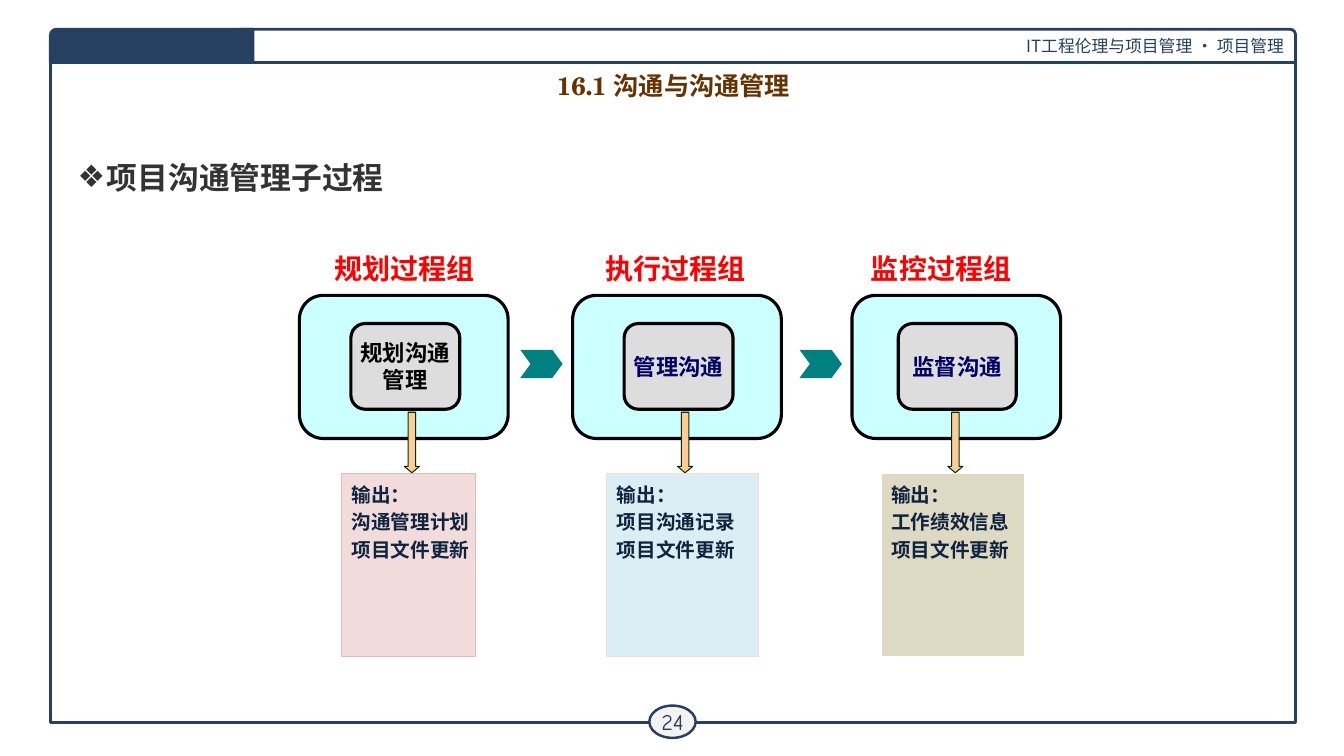
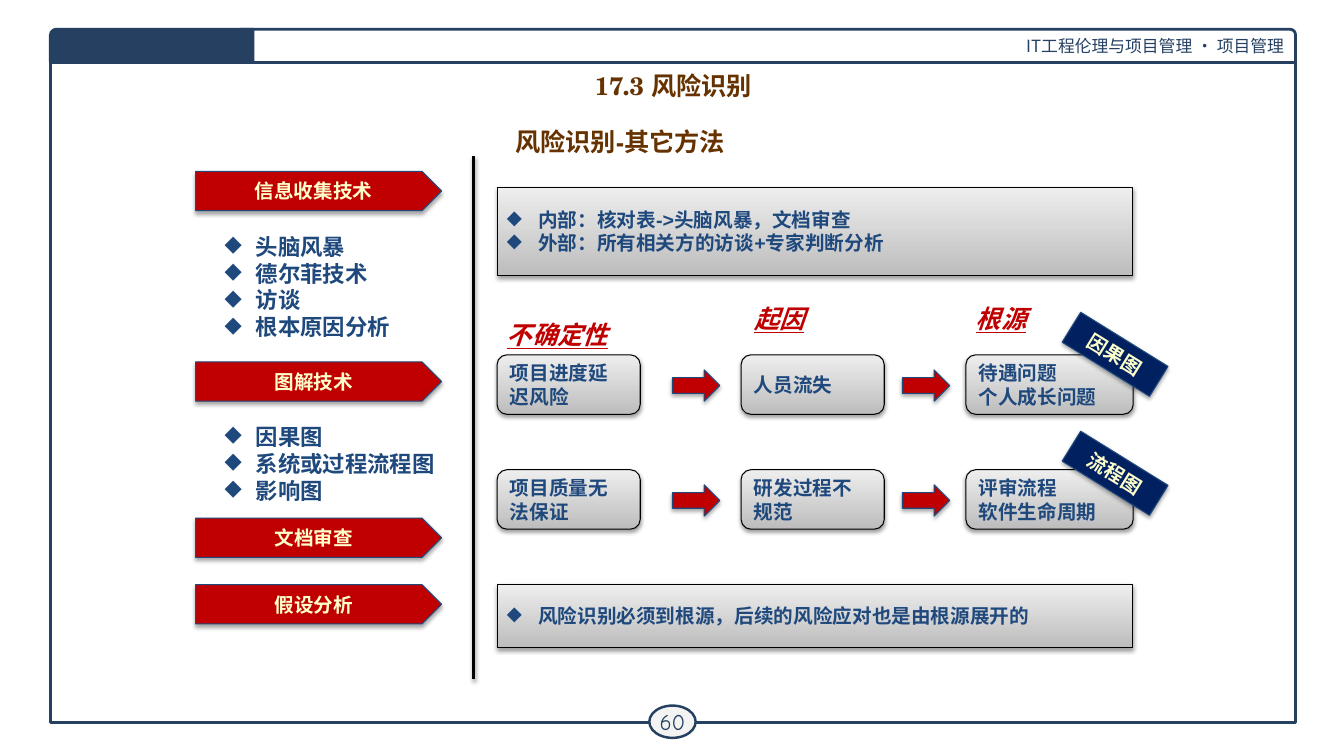
from lxml.etree import SubElement as Sub
from pptx import Presentation
from pptx.dml.color import RGBColor
from pptx.enum.shapes import MSO_CONNECTOR as Conn, MSO_SHAPE as Geo
from pptx.enum.text import MSO_ANCHOR as Anchor, MSO_AUTO_SIZE as Fit, PP_ALIGN as Align
from pptx.oxml.ns import qn
from pptx.util import Inches, Pt

NAVY, RED, BLUE, CREAM = "254061", "C00000", "1F497D", "FFFFCC"
BLACK, BROWN = "000000", "663300"
HAN, SERIF = "Noto Sans CJK SC", "TeX Gyre Schola"
DARK, SOFT = (35, 1.8), (38, 1.6)
METAL = ("BDBDBD", "EEEEEE")


def rgb(code):
    """Turn a hex string into a colour."""
    return RGBColor.from_string(code)


def shade(node, alpha, dist):
    """Fill an effect list with a soft shadow falling straight down."""
    cast = Sub(node, qn("a:outerShdw"), blurRad=str(Pt(3.1)), dist=str(Pt(dist)),
               dir="5400000", rotWithShape="0")
    tone = Sub(cast, qn("a:srgbClr"), val=BLACK)
    Sub(tone, qn("a:alpha"), val=str(alpha * 1000))


def bullet(para, mark, gap):
    """Give a paragraph a bullet and a hanging indent."""
    props = para._p.get_or_add_pPr()
    props.set("marL", str(Inches(gap)))
    props.set("indent", str(-Inches(gap)))
    Sub(props, qn("a:buChar"), char=mark)


def write(frame, lines, size, color, font="Arial", bold=True, align=Align.LEFT,
          anchor=Anchor.TOP, wrap=True, mark=None, gap=0.31, before=0, slant=False):
    """Write lines into a text frame in one style."""
    frame.auto_size = Fit.NONE
    frame.word_wrap = wrap
    frame.vertical_anchor = anchor
    frame.text = "\n".join(lines)
    for i, para in enumerate(frame.paragraphs):
        if mark:
            bullet(para, mark, gap)
        para.alignment = align
        para.space_before = Pt(before if i else 0)
        for run in para.runs:
            face = run.font
            face.size, face.name, face.bold = Pt(size), font, bold
            face.color.rgb = rgb(color)
            if slant:
                face.italic = face.underline = True
            Sub(run._r.get_or_add_rPr(), qn("a:ea"), typeface=HAN)


def place(item, box):
    """Move an item to a box of left, top, width and height."""
    item.left, item.top, item.width, item.height = map(Inches, box)


def shape(slide, geo, box, fill=None, line=None, width=0.75, adj=None, cast=None):
    """Add a preset shape with its fill, line and shadow."""
    item = slide.shapes.add_shape(geo, *map(Inches, box))
    item.shadow.inherit = False
    if fill is None:
        item.fill.background()
    elif isinstance(fill, tuple):
        item.fill.gradient()
        item.fill.gradient_angle = 90
        for stop, tone in zip(item.fill.gradient_stops, fill):
            stop.color.rgb = rgb(tone)
    else:
        item.fill.solid()
        item.fill.fore_color.rgb = rgb(fill)
    if line:
        item.line.color.rgb = rgb(line)
        item.line.width = Pt(width)
    else:
        item.line.fill.background()
    for i, part in enumerate(adj or ()):
        item.adjustments[i] = part
    if cast:
        shade(item._element.spPr.find(qn("a:effectLst")), *cast)
    return item


def label(slide, box, lines, size, color, **style):
    """Add a text box."""
    item = slide.shapes.add_textbox(*map(Inches, box))
    write(item.text_frame, lines, size, color, **style)


def title(item, box, text):
    """Place and style a title line."""
    place(item, box)
    write(item.text_frame, [text], 18, BROWN, font=SERIF, align=Align.CENTER,
          anchor=Anchor.MIDDLE)


def frame(slide, page):
    """Draw the border, header band and page number."""
    shape(slide, Geo.RECTANGLE, (0.5, 0.5, 12.35, 6.67), line=NAVY, width=2)
    band = shape(slide, Geo.ROUND_1_RECTANGLE, (2.38, 0.29, 10.47, 0.33),
                 "FFFFFF", NAVY, 2)
    write(band.text_frame, ["IT工程伦理与项目管理 · 项目管理"], 12, NAVY, font=HAN,
          bold=False, align=Align.RIGHT, anchor=Anchor.MIDDLE)
    disc = shape(slide, Geo.OVAL, (6.44, 7, 0.46, 0.32), "F3F3F3", NAVY, 1.75)
    text = disc.text_frame
    text.margin_left = text.margin_right = Inches(0.04)
    text.margin_top = text.margin_bottom = Inches(0.04)
    write(text, [str(page)], 16, NAVY, font="Comic Neue", bold=False,
          align=Align.CENTER, anchor=Anchor.MIDDLE, wrap=False)
    tab = shape(slide, Geo.ROUND_1_RECTANGLE, (0.5, 0.29, 2.01, 0.33),
                NAVY, NAVY, 2, [0.175])
    tab._element.spPr.find(qn("a:xfrm")).set("flipH", "1")


def stage(slide, x, y, group, step, ink, core, out, fill, edge, items, head, stem):
    """Draw one process group with its step and its output."""
    label(slide, (x + head, y - 0.48, 1.61, 0.44), [group], 20, "FF0000",
          font="Times New Roman", wrap=False)
    shape(slide, Geo.FLOWCHART_ALTERNATE_PROCESS, (x, y, 2.07, 1.42),
          "CCFFFF", BLACK, 2.25)
    inner = shape(slide, Geo.FLOWCHART_ALTERNATE_PROCESS,
                  (x + core[0], y + 0.28, core[1], 0.85), "DDDDDD", BLACK, 2.25)
    write(inner.text_frame, step, 16, ink, font="Times New Roman",
          align=Align.CENTER, anchor=Anchor.MIDDLE, wrap=False)
    result = shape(slide, Geo.RECTANGLE, (x + out[0], y + 1.77, out[1], 1.81),
                   fill, edge)
    result.text_frame.margin_top = Inches(0.09)
    write(result.text_frame, ["输出：", *items], 14, "0F243E", wrap=False, before=2.8)
    shape(slide, Geo.DOWN_ARROW, (x + stem, y + 1.16, 0.15, 0.6), "FFCC99", "003300",
          adj=[0.5, 0.417])


def talks(deck):
    """Build the slide on communication processes."""
    slide = deck.slides.add_slide(deck.slide_layouts[1])
    frame(slide, 24)
    title(slide.shapes.title, (2.18, 0.65, 9, 0.39), "16.1 沟通与沟通管理")
    body = slide.placeholders[1]
    place(body, (0.67, 1.24, 12, 5.61))
    text = body.text_frame
    text.margin_top = Inches(0.15)
    write(text, ["项目沟通管理子过程"], 22, "333333", font=SERIF, mark="❖", gap=0.29)
    text.paragraphs[0].line_spacing = 1.5
    update = "项目文件更新"
    stages = [
        (2.97, "规划过程组", ["规划沟通", "管理"], BLACK, (0.51, 1.08), (0.42, 1.33),
         "F2DCDB", "E6B9B8", ["沟通管理计划", update], 0.25, 1.04),
        (5.68, "执行过程组", ["管理沟通"], "000066", (0.51, 1.08), (0.34, 1.5),
         "DBEEF4", "F2DCDB", ["项目沟通记录", update], 0.23, 1.04),
        (8.45, "监控过程组", ["监督沟通"], "000066", (0.46, 1.17), (0.29, 1.42),
         "DDD9C3", "FFFFFF", ["工作绩效信息", update], 0.09, 0.95),
    ]
    for i, (x, *rest) in enumerate(stages):
        stage(slide, x, 2.93, *rest)
        if i:
            shape(slide, Geo.CHEVRON, (x - 0.52, 3.47, 0.42, 0.28), "008080",
                  adj=[0.366])


def methods(slide, x):
    """List the techniques under their red tags."""
    groups = [
        (1.7, "信息收集技术", ["头脑风暴", "德尔菲技术", "访谈", "根本原因分析"], 1.86),
        (3.59, "图解技术", ["因果图", "系统或过程流程图", "影响图"], 2.31),
        (5.14, "文档审查", [], 0),
        (5.8, "假设分析", [], 0),
    ]
    for y, name, items, width in groups:
        tag = shape(slide, Geo.PENTAGON, (x, y, 2.44, 0.39), RED, BLUE, cast=DARK)
        write(tag.text_frame, [name], 14, CREAM, align=Align.CENTER,
              anchor=Anchor.MIDDLE)
        if items:
            label(slide, (x + 0.19, y + 0.56, width, 0.1 + 0.27 * len(items)), items,
                  16, BLUE, wrap=False, mark="◆")


def panel(slide, geo, box, lines, mark=None):
    """Add a grey metal box with text."""
    item = shape(slide, geo, box, METAL, BLACK, cast=SOFT)
    write(item.text_frame, lines, 14, BLUE, anchor=Anchor.MIDDLE, mark=mark)


def chain(slide, x, y, steps, name, rise):
    """Draw a row from risk to root with a tilted tag."""
    for (dx, width), lines in zip(((0, 1.42), (2.42, 1.42), (4.65, 1.66)), steps):
        panel(slide, Geo.ROUNDED_RECTANGLE, (x + dx, y, width, 0.59), lines)
    for dx in (1.74, 4.02):
        shape(slide, Geo.RIGHT_ARROW, (x + dx, y + 0.15, 0.47, 0.31), RED, BLUE,
              cast=DARK)
    tag = shape(slide, Geo.RECTANGLE, (x + 5.62, y - rise, 1.02, 0.35), "002060", BLUE,
                cast=DARK)
    tag.rotation = 31.8
    write(tag.text_frame, [name], 14, CREAM, align=Align.CENTER, anchor=Anchor.MIDDLE)


def risks(deck):
    """Build the slide on risk identification."""
    slide = deck.slides.add_slide(deck.slide_layouts[5])
    frame(slide, 60)
    title(slide.shapes.title, (1.65, 1.16, 9, 0.48), "风险识别-其它方法")
    head = (2.18, 0.65, 9, 0.39)
    title(slide.shapes.add_textbox(*map(Inches, head)), head, "17.3 风险识别")
    methods(slide, 1.94)
    rule = slide.shapes.add_connector(Conn.STRAIGHT, *map(Inches, (4.7, 1.55, 4.7, 6.74)))
    rule.line.color.rgb = rgb(BLACK)
    rule.line.width = Pt(2)
    shade(Sub(rule._element.spPr, qn("a:effectLst")), *SOFT)
    x = 4.93
    for dx, y, width, word in ((0, 3.12, 1.21, "不确定性"), (2.45, 2.96, 0.71, "起因"),
                               (4.65, 2.96, 0.71, "根源")):
        label(slide, (x + dx, y, width, 0.4), [word], 18, RED, wrap=False, slant=True)
    chain(slide, x, 3.52, [["项目进度延迟风险"], ["人员流失"],
                           ["待遇问题", "个人成长问题"]], "因果图", 0.18)
    chain(slide, x, 4.66, [["项目质量无法保证"], ["研发过程不规范"],
                           ["评审流程", "软件生命周期"]], "流程图", 0.14)
    panel(slide, Geo.RECTANGLE, (x, 1.86, 6.3, 0.87),
          ["内部：核对表->头脑风暴，文档审查", "外部：所有相关方的访谈+专家判断分析"], "◆")
    panel(slide, Geo.RECTANGLE, (x, 5.8, 6.3, 0.62),
          ["风险识别必须到根源，后续的风险应对也是由根源展开的"], "◆")


def main():
    """Build and save the deck."""
    deck = Presentation()
    deck.slide_width, deck.slide_height = Inches(13.33), Inches(7.5)
    talks(deck)
    risks(deck)
    deck.save("out.pptx")


if __name__ == "__main__":
    main()
